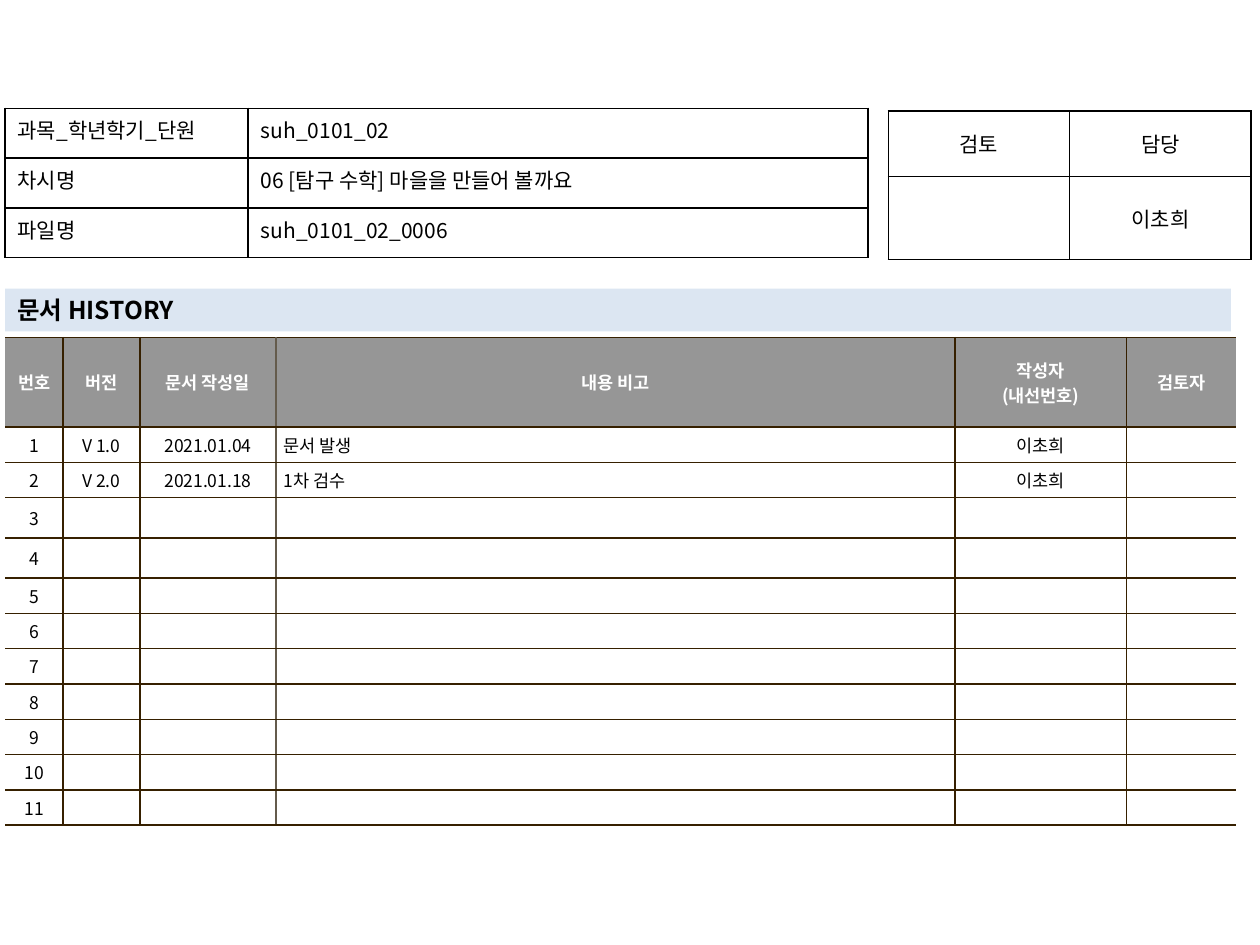
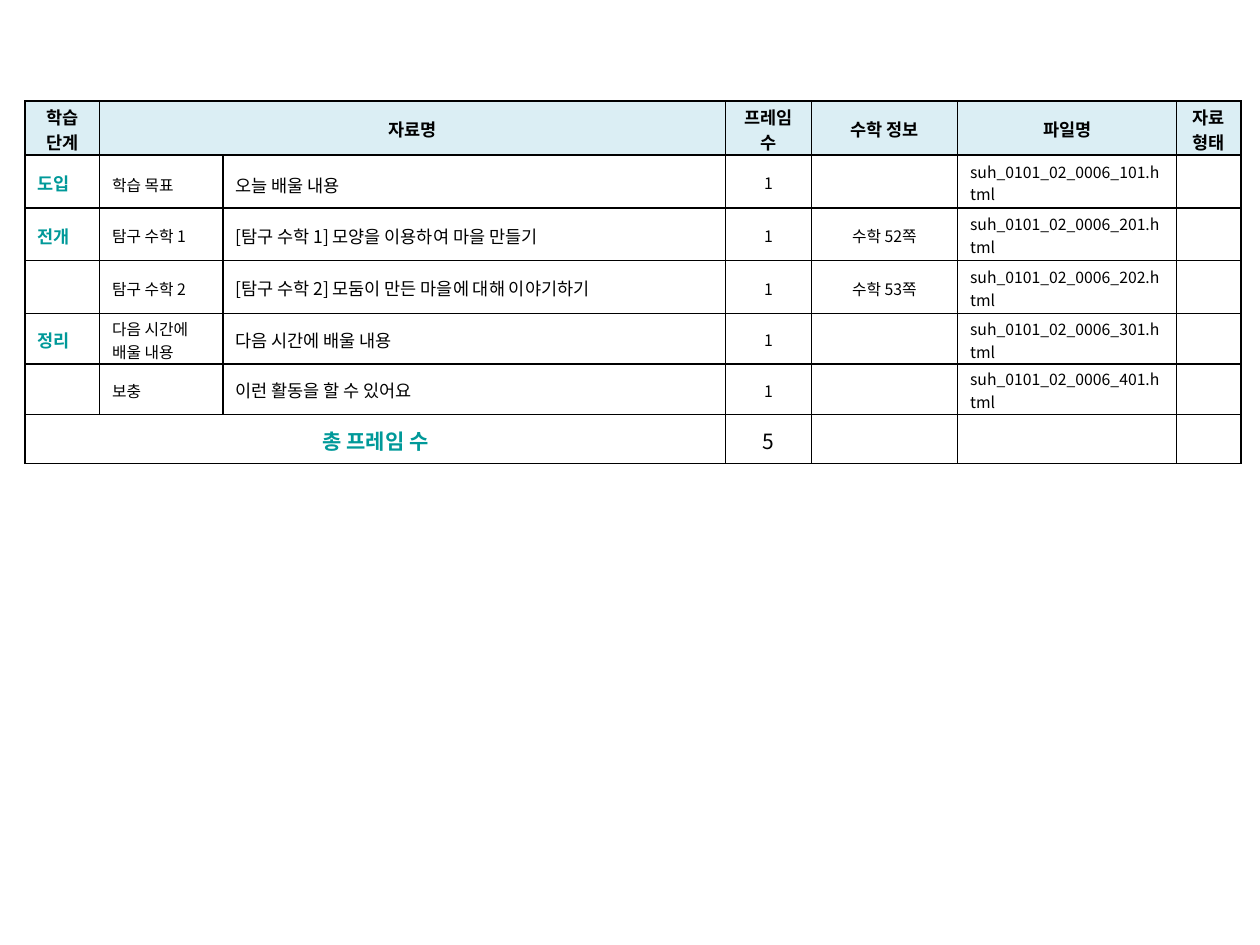
from dataclasses import dataclass, field, replace

import pptx
import pptx.dml.color
import pptx.enum.shapes
import pptx.enum.text
import pptx.oxml.ns
import pptx.util
from lxml import etree

ALIGN = pptx.enum.text.PP_ALIGN
MIDDLE = pptx.enum.text.MSO_ANCHOR.MIDDLE
TOP = pptx.enum.text.MSO_ANCHOR.TOP
qn = pptx.oxml.ns.qn

SLIDE_WIDTH = pptx.util.Inches(10)
SLIDE_HEIGHT = pptx.util.Inches(7.5)
GRID_COLUMNS, GRID_ROWS = 1000, 750

FONT = "Noto Sans CJK KR"
BLACK, WHITE, TEAL = "000000", "FFFFFF", "009999"
BROWN, LIGHT_BROWN = "362000", "645B4C"
GREY, PALE_BLUE, PALE_CYAN = "969696", "DCE6F2", "DBEEF4"
PLAIN_TABLE_STYLE = "{2D5ABB26-0587-4C30-8999-92F81FD0307C}"


@dataclass(frozen=True)
class CellStyle:
    size: float = 10
    color: str = BLACK
    bold: bool = False
    align: ALIGN = ALIGN.CENTER
    fill: str | None = None


@dataclass(frozen=True)
class Table:
    """Lengths count grid units; margins are left/right, top, bottom."""
    left: int
    top: int
    widths: list[int]
    heights: list[int]
    texts: list[list[str]]
    column_styles: list[CellStyle]
    header: CellStyle | None = None
    special_styles: dict[tuple[int, int], CellStyle] = field(default_factory=dict)
    merges: list[tuple[int, int, int]] = field(default_factory=list)
    margins: tuple[int, int, int] = (10, 5, 5)
    anchor: pptx.enum.text.MSO_ANCHOR = MIDDLE
    line_color: str = BLACK
    inner_line_colors: dict[int, str] = field(default_factory=dict)
    open_sides: bool = False

    def style_at(self, row: int, column: int) -> CellStyle:
        if row == 0 and self.header:
            return self.header
        return self.special_styles.get((row, column), self.column_styles[column])

    def edge_color(self, edge: int) -> str | None:
        """Colour of the vertical line at a column edge, counted from the left."""
        if self.open_sides and edge in (0, len(self.widths)):
            return None
        return self.inner_line_colors.get(edge, self.line_color)


def across(units: float) -> int:
    return round(SLIDE_WIDTH * units / GRID_COLUMNS)


def down(units: float) -> int:
    return round(SLIDE_HEIGHT * units / GRID_ROWS)


def rgb(color: str) -> pptx.dml.color.RGBColor:
    return pptx.dml.color.RGBColor.from_string(color)


def set_fill(fill, color: str) -> None:
    fill.solid()
    fill.fore_color.rgb = rgb(color)


def write_text(text_frame, text: str, style: CellStyle) -> None:
    text_frame.text = text
    for paragraph in text_frame.paragraphs:
        paragraph.alignment = style.align
        for run in paragraph.runs:
            run.font.name = FONT
            run.font.size = pptx.util.Pt(style.size)
            run.font.bold = style.bold
            run.font.color.rgb = rgb(style.color)
            etree.SubElement(run.font._element, qn("a:ea"), typeface=FONT)
        if not paragraph.runs:
            etree.SubElement(paragraph._p, qn("a:endParaRPr"), sz=str(int(style.size * 100)))


def add_border(cell, side: str, color: str | None) -> None:
    properties = cell._tc.get_or_add_tcPr()
    line = etree.SubElement(properties, qn(f"a:ln{side}"), w=str(pptx.util.Pt(1)))
    if color is None:
        etree.SubElement(line, qn("a:noFill"))
    else:
        solid = etree.SubElement(line, qn("a:solidFill"))
        etree.SubElement(solid, qn("a:srgbClr"), val=color)


def format_cell(cell, table: Table, row: int, column: int) -> None:
    style = table.style_at(row, column)
    side, top, bottom = table.margins
    cell.margin_left = cell.margin_right = across(side)
    cell.margin_top, cell.margin_bottom = down(top), down(bottom)
    cell.vertical_anchor = table.anchor
    write_text(cell.text_frame, table.texts[row][column], style)
    add_border(cell, "L", table.edge_color(column))
    add_border(cell, "R", table.edge_color(column + 1))
    add_border(cell, "T", table.line_color)
    add_border(cell, "B", table.line_color)
    if style.fill:
        set_fill(cell.fill, style.fill)


def draw_table(slide, table: Table):
    shape = slide.shapes.add_table(
        len(table.heights), len(table.widths), across(table.left), down(table.top),
        across(sum(table.widths)), down(sum(table.heights)))
    grid = shape.table
    grid.first_row = grid.horz_banding = False
    grid._tbl.tblPr.find(qn("a:tableStyleId")).text = PLAIN_TABLE_STYLE
    for column, width in enumerate(table.widths):
        grid.columns[column].width = across(width)
    for row, height in enumerate(table.heights):
        grid.rows[row].height = down(height)
        for column in range(len(table.widths)):
            format_cell(grid.cell(row, column), table, row, column)
    for row, first, last in table.merges:
        grid.cell(row, first).merge(grid.cell(row, last))
    return grid


def draw_heading_band(slide, text: str) -> None:
    band = slide.shapes.add_shape(
        pptx.enum.shapes.MSO_SHAPE.RECTANGLE, across(4), down(229), across(973), down(34))
    band.shadow.inherit = False
    set_fill(band.fill, PALE_BLUE)
    band.line.fill.background()
    band.text_frame.vertical_anchor = MIDDLE
    write_text(band.text_frame, text, CellStyle(14, bold=True, align=ALIGN.LEFT))


def history_table() -> Table:
    entries = [["V 1.0", "2021.01.04", "문서 발생", "이초희", ""],
               ["V 2.0", "2021.01.18", "1차 검수", "이초희", ""]]
    entries += [[""] * 5 for _ in range(9)]
    texts = [["번호", "버전", "문서 작성일", "내용 비고", "작성자\n(내선번호)", "검토자"]]
    texts += [[str(number), *entry] for number, entry in enumerate(entries, 1)]
    body = CellStyle(fill=WHITE)
    return Table(
        4, 268, [46, 61, 108, 539, 136, 87], [71, 28, 28, 32, 32] + [28] * 7, texts,
        [body] * 3 + [replace(body, align=ALIGN.LEFT)] + [body] * 2,
        header=CellStyle(color=WHITE, bold=True, fill=GREY),
        margins=(6, 4, 4), line_color=BROWN,
        inner_line_colors={3: LIGHT_BROWN}, open_sides=True)


def approval_table() -> Table:
    return Table(705, 88, [144] * 2, [52, 66],
                 [["검토", "담당"], ["", "이초희"]], [CellStyle(12)] * 2)


def document_table() -> Table:
    texts = [["과목_학년학기_단원", "suh_0101_02"],
             ["차시명", "06 [탐구 수학] 마을을 만들어 볼까요"],
             ["파일명", "suh_0101_02_0006"]]
    return Table(4, 86, [193, 492], [39.5] * 3, texts,
                 [CellStyle(12, align=ALIGN.JUSTIFY), CellStyle(12, align=ALIGN.LEFT)],
                 anchor=TOP)


def lesson_table() -> Table:
    lessons = [
        ("도입", "학습 목표", "오늘 배울 내용", "", 101),
        ("전개", "탐구 수학 1", "[탐구 수학 1] 모양을 이용하여 마을 만들기", "수학 52쪽", 201),
        ("", "탐구 수학 2", "[탐구 수학 2] 모둠이 만든 마을에 대해 이야기하기", "수학 53쪽", 202),
        ("정리", "다음 시간에 배울 내용", "다음 시간에 배울 내용", "", 301),
        ("", "보충", "이런 활동을 할 수 있어요", "", 401),
    ]
    texts = [["학습 단계", "자료명", "", "프레임 수", "수학 정보", "파일명", "자료\n형태"]]
    texts += [[stage, material, title, "1", pages, f"suh_0101_02_0006_{number}.html", ""]
              for stage, material, title, pages, number in lessons]
    texts.append(["총 프레임 수", "", "", str(len(lessons)), "", "", ""])
    stage_style = CellStyle(color=TEAL, bold=True, align=ALIGN.JUSTIFY)
    small = CellStyle(9)
    small_left = replace(small, align=ALIGN.LEFT)
    last = len(lessons) + 1
    return Table(
        20, 80, [59, 98, 399, 68, 116, 174, 51], [43, 42, 42, 42, 40, 40, 39], texts,
        [stage_style, small_left, CellStyle(align=ALIGN.LEFT), small, small, small_left, small],
        header=CellStyle(bold=True, fill=PALE_CYAN),
        special_styles={(last, 0): CellStyle(12, TEAL, True), (last, 3): CellStyle(12)},
        merges=[(0, 1, 2), (last, 0, 2)], margins=(10, 2, 0))


def build_history_slide(slide) -> None:
    draw_table(slide, history_table())
    draw_table(slide, approval_table())
    draw_heading_band(slide, "문서 HISTORY")
    draw_table(slide, document_table())


def build_lesson_slide(slide) -> None:
    grid = draw_table(slide, lesson_table())
    for column in (1, 2):
        paragraph = grid.cell(1, column).text_frame.paragraphs[0]
        paragraph.alignment = ALIGN.JUSTIFY
        paragraph.line_spacing = 1.2


def main() -> None:
    presentation = pptx.Presentation()
    presentation.slide_width = SLIDE_WIDTH
    presentation.slide_height = SLIDE_HEIGHT
    blank_layout = presentation.slide_layouts[6]
    for build in (build_history_slide, build_lesson_slide):
        build(presentation.slides.add_slide(blank_layout))
    presentation.save("out.pptx")


if __name__ == "__main__":
    main()
